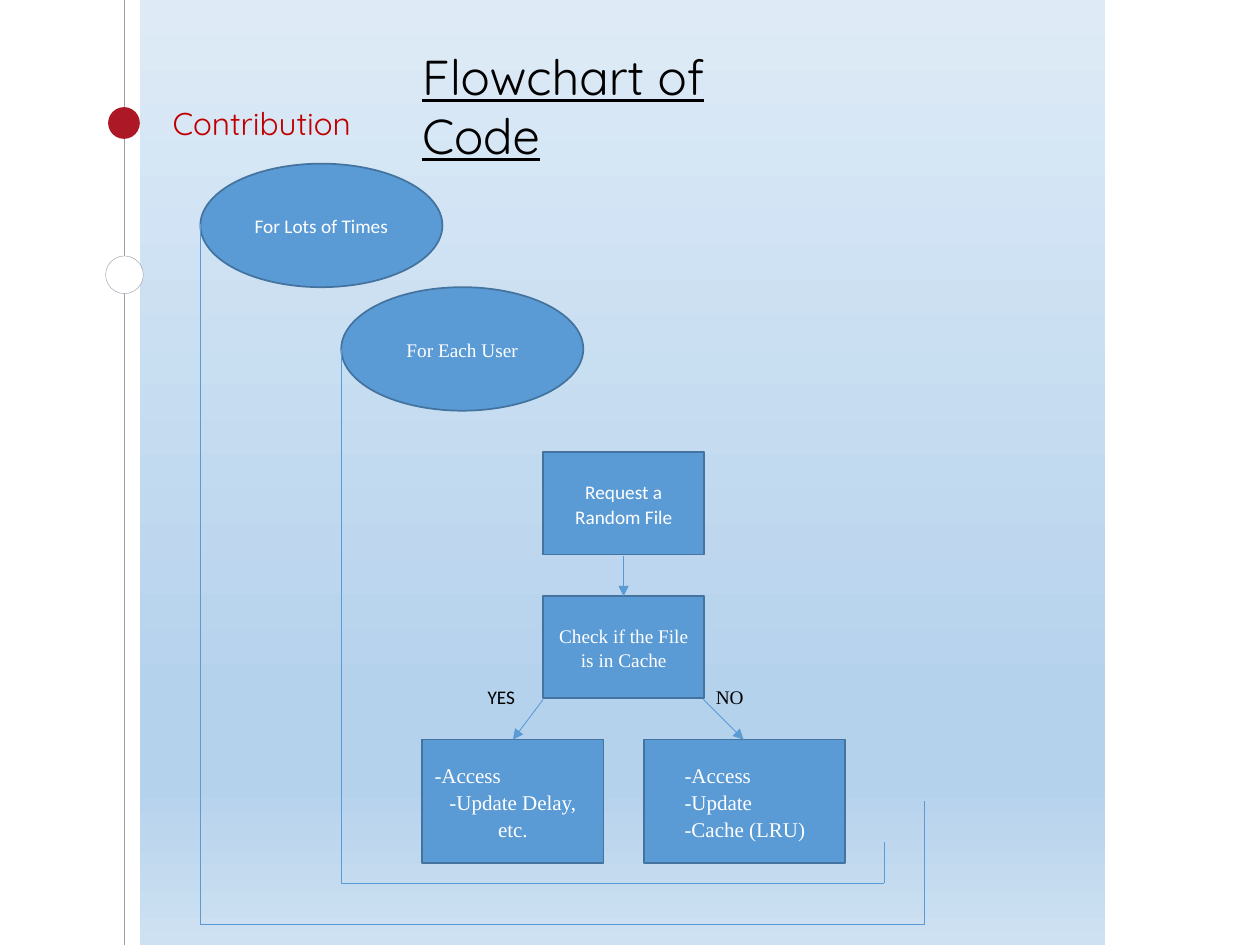
from copy import deepcopy
from dataclasses import dataclass
from itertools import pairwise

from lxml.etree import SubElement
from pptx import Presentation
from pptx.dml.color import RGBColor
from pptx.enum.shapes import MSO_CONNECTOR, MSO_SHAPE
from pptx.enum.text import MSO_ANCHOR, PP_ALIGN
from pptx.oxml.ns import qn
from pptx.util import Cm, Pt


@dataclass(frozen=True)
class Theme:
    white: str = "FFFFFF"
    black: str = "000000"
    red: str = "C00000"
    dot: str = "AD1826"
    blue: str = "5B9BD5"
    edge: str = "43739E"
    gray: str = "999FA9"
    fade: tuple = ((0, "DEEBF7"), (0.74, "B5D2EC"), (0.83, "B5D2EC"), (1, "CEE1F2"))
    head: int = 28
    title: int = 18
    note: int = 12
    node: int = 11
    sans: str = "Calibri"
    serif: str = "Times New Roman"
    round: str = "Quicksand"


theme = Theme()
deck = Presentation()
deck.slide_width, deck.slide_height = Cm(25.4), Cm(19.05)
slide = deck.slides.add_slide(deck.slide_layouts[6])
shapes = slide.shapes
LEFT, MID = PP_ALIGN.LEFT, PP_ALIGN.CENTER


def write(shape, text, font=theme.sans, size=theme.node, color=theme.white,
          aligns=(MID,), anchor=MSO_ANCHOR.MIDDLE, space=1.06, indent=0,
          line=False):
    frame = shape.text_frame
    frame.word_wrap = True
    frame.vertical_anchor = anchor
    frame.text = text
    for i, para in enumerate(frame.paragraphs):
        para.alignment = aligns[min(i, len(aligns) - 1)]
        para.line_spacing = space
        if indent:
            para._p.get_or_add_pPr().set("marL", str(Cm(indent)))
        for run in para.runs:
            run.font.name = font
            run.font.size = Pt(size)
            run.font.color.rgb = RGBColor.from_string(color)
            run.font.underline = line


def link(start, end, color=theme.blue, width=0.5, arrow=False):
    wire = shapes.add_connector(MSO_CONNECTOR.STRAIGHT, *map(Cm, start + end))
    wire.line.color.rgb = RGBColor.from_string(color)
    wire.line.width = Pt(width)
    if arrow:
        SubElement(wire.line._get_or_add_ln(), qn("a:tailEnd"), type="triangle")
    SubElement(wire._element.spPr, qn("a:effectLst"))


link((2.51, 0), (2.51, 19.05), theme.gray, 0.75)

panel = shapes.add_shape(MSO_SHAPE.RECTANGLE, Cm(2.82), 0, Cm(19.46), Cm(19.05))
panel.shadow.inherit = False
panel.line.fill.background()
panel.fill.gradient()
panel.fill.gradient_angle = 270
stops = panel._element.spPr.find(qn("a:gradFill")).find(qn("a:gsLst"))
for _ in range(2):
    stops.append(deepcopy(stops[0]))
for stop, (place, color) in zip(panel.fill.gradient_stops, theme.fade):
    stop.position = place
    stop.color.rgb = RGBColor.from_string(color)

oval, box = MSO_SHAPE.OVAL, MSO_SHAPE.RECTANGLE
serif = dict(font=theme.serif)
note = dict(font=theme.serif, size=theme.note)
nodes = [
    (oval, 4.04, 3.3, 4.88, 2.49, "For Lots of Times", {}),
    (oval, 6.88, 5.79, 4.88, 2.49, "For Each User", serif),
    (box, 10.95, 9.12, 3.25, 2.06, "Request a Random File", {}),
    (box, 10.95, 12.02, 3.25, 2.06, "Check if the File is in Cache", serif),
    (box, 8.51, 14.91, 3.66, 2.49, "-Access\n-Update Delay,\netc.",
     dict(note, aligns=(LEFT, MID))),
    (box, 12.98, 14.91, 4.06, 2.49, "-Access\n-Update\n-Cache (LRU)",
     dict(note, aligns=(LEFT,), indent=0.57)),
]
for kind, *area, text, style in nodes:
    node = shapes.add_shape(kind, *map(Cm, area))
    node.shadow.inherit = False
    node.fill.solid()
    node.fill.fore_color.rgb = RGBColor.from_string(theme.blue)
    node.line.color.rgb = RGBColor.from_string(theme.edge)
    node.line.width = Pt(1)
    write(node, text, **style)

for start, end in [((12.57, 11.2), (12.57, 12.02)),
                   ((10.95, 14.1), (10.34, 14.91)),
                   ((14.18, 14.1), (14.99, 14.91))]:
    link(start, end, arrow=True)

for left, top, right, base, tip in [(4.04, 4.52, 18.64, 18.64, 16.15),
                                    (6.88, 7.03, 17.83, 17.81, 16.98)]:
    loop = (left, top), (left, base), (right, base), (right, tip)
    for start, end in pairwise(loop):
        link(start, end)

for left, top, size, color, edge in [(2.18, 2.16, 0.64, theme.dot, None),
                                     (2.13, 5.16, 0.76, theme.white, theme.gray)]:
    mark = shapes.add_shape(oval, Cm(left), Cm(top), Cm(size), Cm(size))
    mark.shadow.inherit = False
    mark.fill.solid()
    mark.fill.fore_color.rgb = RGBColor.from_string(color)
    if edge:
        mark.line.color.rgb = RGBColor.from_string(edge)
        mark.line.width = Pt(0.25)
    else:
        mark.line.fill.background()

plain = dict(color=theme.black, aligns=(LEFT,), anchor=MSO_ANCHOR.TOP)
labels = [
    (9.58, 13.67, 1.63, 0.83, "YES", plain),
    (14.18, 13.67, 1.63, 0.83, "NO", dict(plain, font=theme.serif)),
    (3.23, 1.85, 19.05, 1.27, "Contribution",
     dict(font=theme.round, size=theme.title, color=theme.red, aligns=(LEFT,),
          space=1)),
    (8.26, 0.81, 8.61, 2.6, "Flowchart of\vCode",
     dict(plain, font=theme.round, size=theme.head, space=1, line=True)),
]
for *area, text, style in labels:
    write(shapes.add_textbox(*map(Cm, area)), text, **style)

deck.save("out.pptx")
